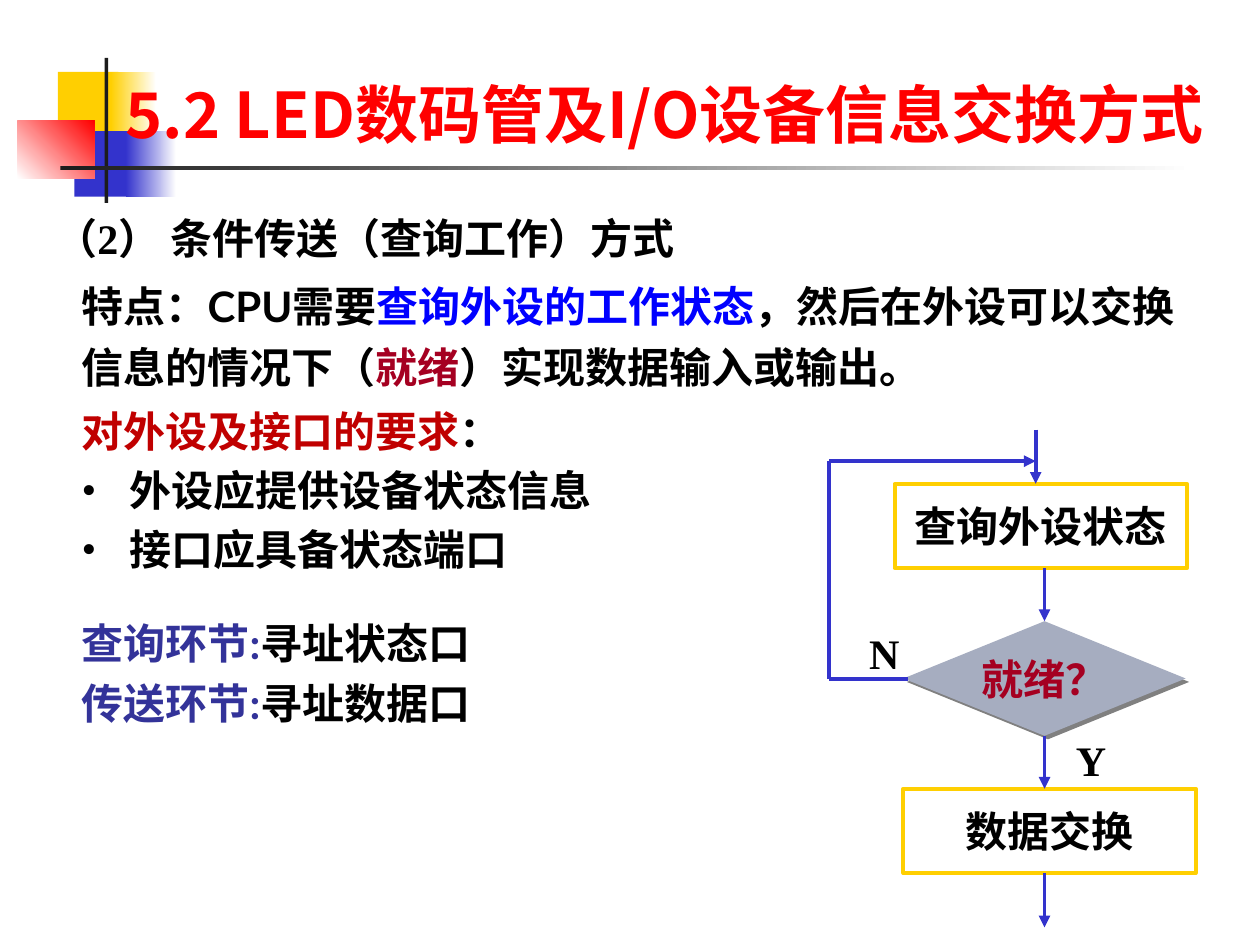
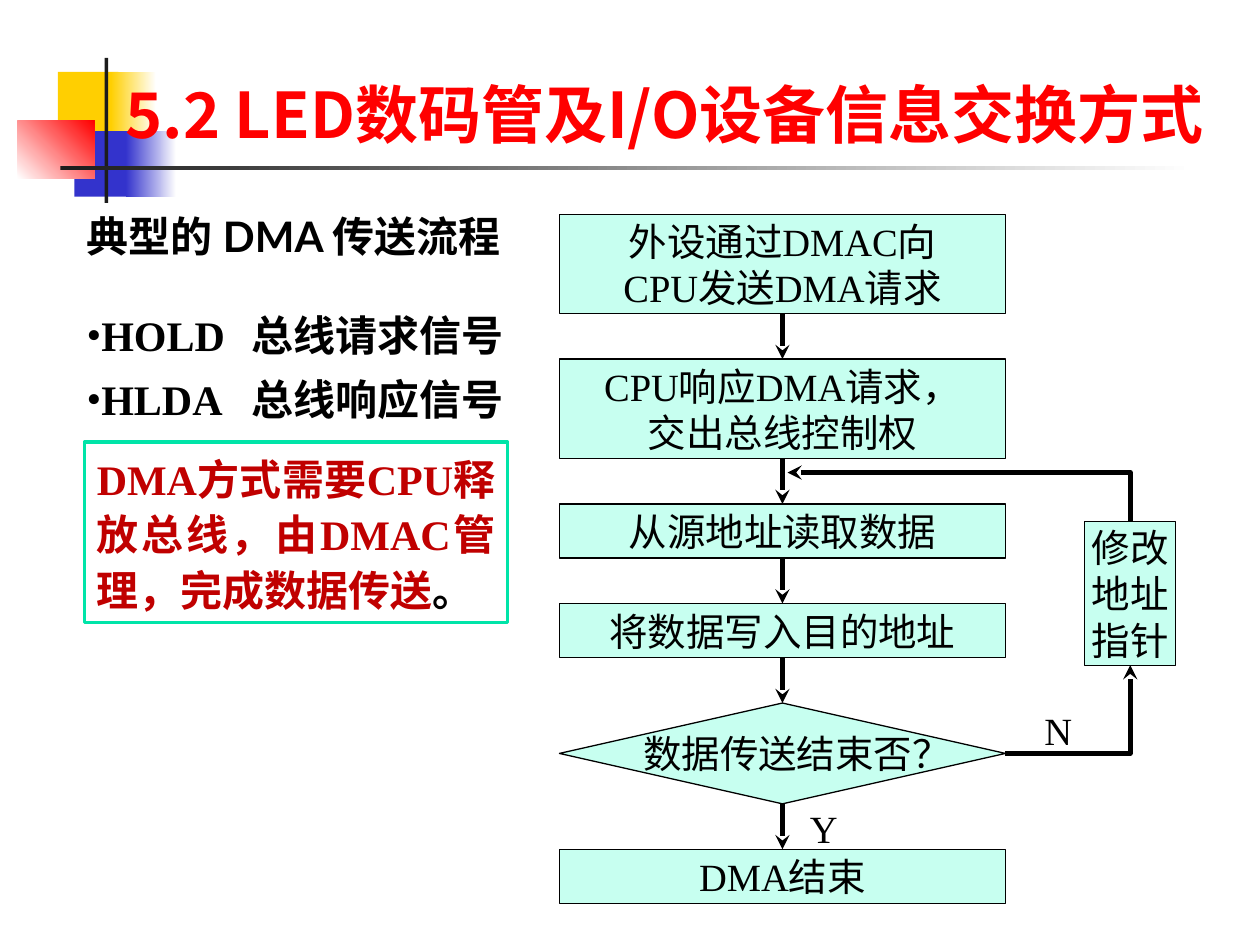
from pptx import Presentation
from pptx.dml.color import RGBColor
from pptx.enum.shapes import MSO_CONNECTOR, MSO_SHAPE
from pptx.enum.text import MSO_ANCHOR, PP_ALIGN
from pptx.oxml.ns import qn
from pptx.util import Inches, Pt
from lxml.etree import SubElement

BLACK, WHITE, INK = "000000", "FFFFFF", "1C1C1C"
YELLOW, BLUE, RED = "FFCF01", "3333CC", "FF0000"
CRIMSON, BRICK, INDIGO, MINT = "A50021", "C00000", "333399", "C7FFF0"
SERIF, SANS = "Times New Roman", "Lato"


def color(hex_code):
    return RGBColor.from_string(hex_code)


def add_run(paragraph, text, ink=BLACK, size=24, font=SERIF, bold=True, east_asian=SANS):
    run = paragraph.add_run()
    run.text = text
    run.font.size, run.font.bold, run.font.name = Pt(size), bold, font
    run.font.color.rgb = color(ink)
    SubElement(run.font._element, qn("a:ea"), typeface=east_asian)


def add_bullet(paragraph, indent=0.0, tab=None):
    props = paragraph._p.get_or_add_pPr()
    props.set("marL", str(Inches(indent)))
    props.set("indent", str(-Inches(indent)))
    SubElement(props, qn("a:buFont"), typeface=SERIF)
    SubElement(props, qn("a:buChar"), char="•")
    if tab:
        stops = SubElement(props, qn("a:tabLst"))
        SubElement(stops, qn("a:tab"), pos=str(Inches(tab)), algn="l")


def write(frame, lines, align=PP_ALIGN.LEFT, spacing=None, **style):
    """Fill a text frame; each line is a list of (text, colour) runs."""
    for i, line in enumerate(lines):
        paragraph = frame.paragraphs[0] if i == 0 else frame.add_paragraph()
        paragraph.alignment = align
        if spacing:
            paragraph.line_spacing = spacing
        for text, ink in line:
            add_run(paragraph, text, ink, **style)
    return frame.paragraphs


def add_text(slide, box, lines, **style):
    frame = slide.shapes.add_textbox(*map(Inches, box)).text_frame
    frame.word_wrap = True
    return write(frame, lines, **style)


def add_block(slide, box, kind=MSO_SHAPE.RECTANGLE, fill=None, line=None, width=0.75):
    block = slide.shapes.add_shape(kind, *map(Inches, box))
    block.shadow.inherit = False
    if fill:
        block.fill.solid()
        block.fill.fore_color.rgb = color(fill)
    else:
        block.fill.background()
    if line:
        block.line.color.rgb = color(line)
        block.line.width = Pt(width)
    else:
        block.line.fill.background()
    return block


def add_fade(slide, box, start, end, angle=0):
    fade = add_block(slide, box)
    fade.fill.gradient()
    fade.fill.gradient_angle = angle
    for stop, shade in zip(fade.fill.gradient_stops, (start, end)):
        stop.color.rgb = color(shade)


def label(block, lines, **style):
    block.text_frame.word_wrap = False
    block.text_frame.vertical_anchor = MSO_ANCHOR.MIDDLE
    write(block.text_frame, lines, align=PP_ALIGN.CENTER, **style)


def connect(slide, start, end, ink, width, tail=None, head=None, bent=False):
    kind = MSO_CONNECTOR.ELBOW if bent else MSO_CONNECTOR.STRAIGHT
    link = slide.shapes.add_connector(kind, *map(Inches, (*start, *end)))
    props = link._element.spPr
    if bent:
        props.find(qn("a:prstGeom")).set("prst", "bentConnector2")
    link.line.color.rgb = color(ink)
    link.line.width = Pt(width)
    for tag, arrow in (("a:headEnd", head), ("a:tailEnd", tail)):
        if arrow:
            SubElement(props.find(qn("a:ln")), qn(tag), type=arrow)
    SubElement(props, qn("a:effectLst"))
    return link


def add_frame(slide):
    """Corner ornament, rule and title shared by the slides."""
    add_block(slide, (0.46, 0.57, 0.48, 0.52), fill=YELLOW)
    add_fade(slide, (0.88, 0.57, 0.36, 0.52), YELLOW, WHITE)
    add_block(slide, (0.59, 1.04, 0.46, 0.52), fill=BLUE)
    add_fade(slide, (1, 1.04, 0.4, 0.52), BLUE, WHITE)
    add_fade(slide, (0.14, 0.96, 0.61, 0.46), WHITE, RED, angle=45)
    add_block(slide, (0.83, 0.46, 0.03, 1.15), fill=INK)
    add_fade(slide, (0.48, 1.32, 9, 0.03), INK, WHITE)
    title = slide.shapes.add_textbox(*map(Inches, (0.9, 0.55, 9.1, 0.79))).text_frame
    title.word_wrap = True
    title.margin_right = 0
    for text, font in (("5.2 ", "Noto Sans CJK JP"),
                       ("LED数码管及I/O设备信息交换方式", "Noto Sans CJK SC")):
        add_run(title.paragraphs[0], text, RED, 36, font, east_asian=font)


def query_notes(slide, left, top):
    add_text(slide, (left - 0.21, top, 7.81, 0.5),
             [[("（2） 条件传送（查询工作）方式", BLACK)]])
    add_text(slide, (left, top + 0.46, 8.93, 1.07), [[
        ("特点：CPU需要", BLACK), ("查询外设的工作状态", "0000FF"),
        ("，然后在外设可以交换信息的情况下（", BLACK), ("就绪", CRIMSON),
        ("）实现数据输入或输出。", BLACK)]], spacing=1.2, font=SANS)
    needs = add_text(slide, (left, top + 1.53, 5.12, 1.47), [
        [("对外设及接口的要求", BRICK), ("：", BLACK)],
        [("外设应提供设备状态信息", BLACK)],
        [("接口应具备状态端口", BLACK)]])
    for need in needs[1:]:
        add_bullet(need, 0.38)
        need.space_before = Pt(5)
    for i, (stage, port) in enumerate((("查询环节:", "寻址状态口"),
                                       ("传送环节:", "寻址数据口"))):
        add_text(slide, (left, top + 3.21 + 0.48 * i, 5, 0.5),
                 [[(stage, INDIGO), (port, BLACK)]], font=SANS)


def query_flow(slide, left, top):
    def at(x, y):
        return left + x, top + y

    def link(start, end, tail="triangle"):
        return connect(slide, at(*start), at(*end), BLUE, 2.25, tail)

    query = add_block(slide, (*at(0.52, 0.43), 2.32, 0.67), line=YELLOW, width=2.25)
    label(query, [[("查询外设状态", BLACK)]])
    ready = add_block(slide, (*at(0.59, 1.52), 2.24, 0.91), MSO_SHAPE.DIAMOND, "A6ADC0")
    shadow = SubElement(ready._element.spPr.find(qn("a:effectLst")), qn("a:outerShdw"),
                        dist=str(Pt(2.8)), dir="2700000", algn="ctr", rotWithShape="0")
    SubElement(shadow, qn("a:srgbClr"), val="808080")
    label(ready, [[("就绪？", CRIMSON)]])
    exchange = add_block(slide, (*at(0.59, 2.85), 2.32, 0.67), line=YELLOW, width=2.25)
    label(exchange, [[("数据交换", BLACK)]])

    link((1.64, 0), (1.64, 0.43))
    link((1.71, 1.1), (1.71, 1.52)).end_connect(ready, 0)
    link((1.71, 2.43), (1.71, 2.85)).begin_connect(ready, 2)
    link((1.71, 3.52), (1.71, 3.95))
    link((0.63, 1.98), (0, 1.98), None)
    link((0, 1.98), (0, 0.25), None)
    link((0, 0.25), (1.64, 0.25))
    for answer, x, y in (("Y", 1.86, 2.37), ("N", 0.22, 1.52)):
        add_text(slide, (*at(x, y), 0.75, 0.5), [[(answer, BLACK)]])


def dma_notes(slide, left, top):
    add_text(slide, (left, top, 3.63, 0.5), [[("典型的 DMA 传送流程", BLACK)]], font=SANS)
    signals = add_text(slide, (left, top + 0.75, 3.64, 0.99), [
        [("HOLD\t总线请求信号", BLACK)], [("HLDA\t总线响应信号", BLACK)]], spacing=1.1)
    for signal in signals:
        add_bullet(signal, tab=1.31)
    signals[1].space_before = Pt(5)
    summary = add_block(slide, (left + 0.08, top + 1.89, 3.36, 1.43),
                        fill=WHITE, line="00E4A8", width=2)
    summary.text_frame.word_wrap = True
    summary.text_frame.vertical_anchor = MSO_ANCHOR.TOP
    write(summary.text_frame,
          [[("DMA方式需要CPU释放总线，由DMAC管理，完成数据传送", BRICK), ("。", BLACK)]],
          align=PP_ALIGN.JUSTIFY, spacing=1.1)


def dma_flow(slide, left, top):
    width, gap = 3.54, 0.36
    middle = left + width / 2
    plain = dict(size=22, bold=False)
    process, decision = MSO_SHAPE.FLOWCHART_PROCESS, MSO_SHAPE.FLOWCHART_DECISION

    def step(box, kind, lines):
        block = add_block(slide, box, kind, MINT, BLACK)
        label(block, [[(line, BLACK)] for line in lines], **plain)
        return block

    steps, y = [], top
    for height, kind, lines in (
            (0.79, process, ("外设通过DMAC向", "CPU发送DMA请求")),
            (0.79, process, ("CPU响应DMA请求，", "交出总线控制权")),
            (0.43, process, ("从源地址读取数据",)),
            (0.43, process, ("将数据写入目的地址",)),
            (0.8, decision, ("数据传送结束否？",)),
            (0.43, process, ("DMA结束",))):
        steps.append(step((left, y, width, height), kind, lines))
        if len(steps) > 1:
            arrow = connect(slide, (middle, y - gap), (middle, y), BLACK, 2.75, "stealth")
            arrow.begin_connect(steps[-2], 2)
            arrow.end_connect(steps[-1], 0)
        y += height + gap
    finished = steps[4]
    finished.text_frame.margin_left = Inches(0.33)

    pointer = step((left + 4.17, top + 2.44, 0.72, 1.14), process, ("修改", "地址", "指针"))
    column = left + 4.53
    again = connect(slide, (left + width, top + 4.28), (column, top + 3.58),
                    BLACK, 2.75, tail="stealth", bent=True)
    again.begin_connect(finished, 3)
    again.end_connect(pointer, 2)
    back = connect(slide, (middle + 0.04, top + 2.05), (column, top + 2.44),
                   BLACK, 2.75, head="stealth", bent=True)
    back.end_connect(pointer, 0)
    for answer, x, y in (("N", 3.75, 3.86), ("Y", 1.89, 4.64)):
        add_text(slide, (left + x, top + y, 0.42, 0.47), [[(answer, BLACK)]], **plain)


def main():
    deck = Presentation()
    deck.slide_width, deck.slide_height = Inches(10), Inches(7.5)
    for notes, notes_at, flow, flow_at in (
            (query_notes, (0.55, 1.64), query_flow, (6.58, 3.41)),
            (dma_notes, (0.59, 1.62), dma_flow, (4.44, 1.7))):
        slide = deck.slides.add_slide(deck.slide_layouts[6])
        add_frame(slide)
        notes(slide, *notes_at)
        flow(slide, *flow_at)
    deck.save("out.pptx")


if __name__ == "__main__":
    main()
